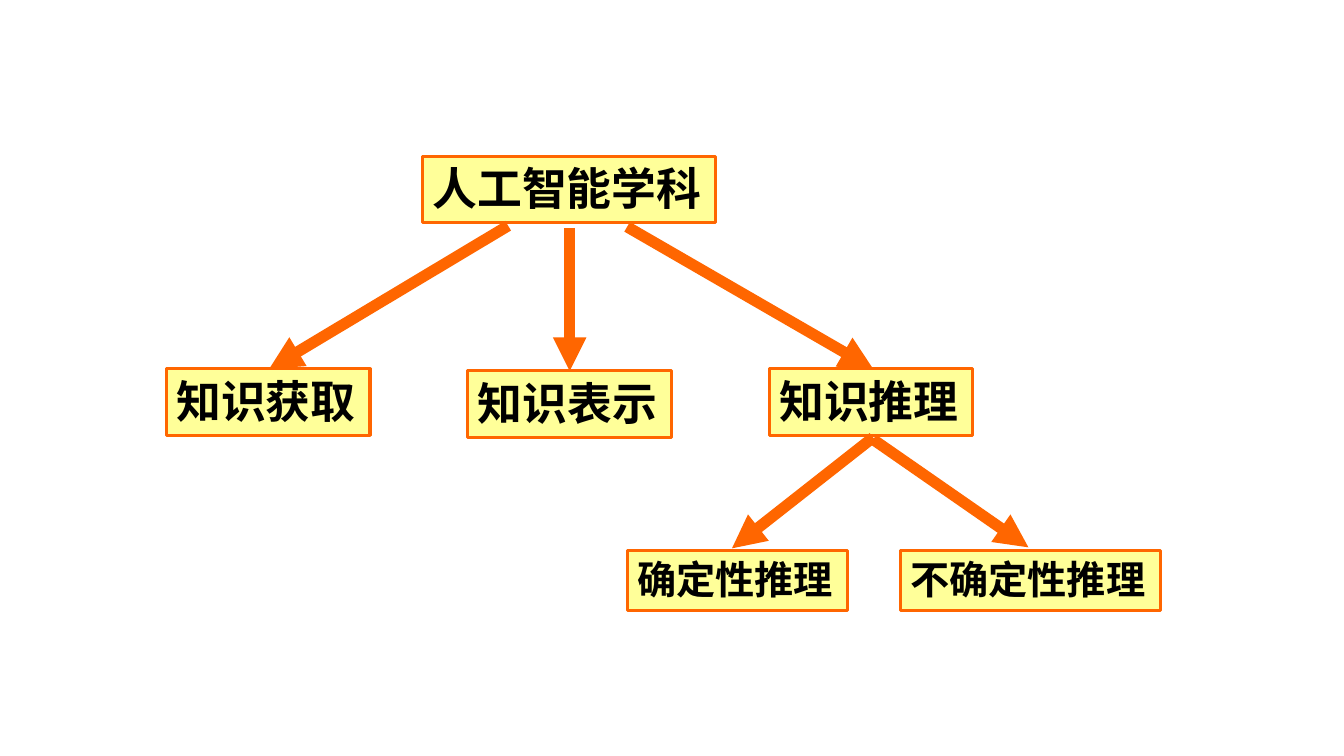
from lxml import etree
from pptx import Presentation
from pptx import util as u
from pptx.dml.color import RGBColor
from pptx.enum import shapes, text
from pptx.oxml.ns import qn

PX = 9144  # 100 px to the inch
ORANGE = RGBColor(0xFF, 0x66, 0x00)
YELLOW = RGBColor(0xFF, 0xFF, 0x99)
BLACK = RGBColor(0, 0, 0)

presentation = Presentation()
presentation.slide_width = 1333 * PX
presentation.slide_height = 750 * PX
slide = presentation.slides.add_slide(presentation.slide_layouts[6])

# Topic boxes: label, left, top, width, height, font size
topics = [
    ("人工智能学科", 419, 155, 291, 66, 32),
    ("知识获取", 165, 366, 202, 66, 32),
    ("知识表示", 464, 368, 202, 66, 32),
    ("知识推理", 763, 366, 202, 66, 32),
    ("确定性推理", 622, 546, 219, 60, 28),
    ("不确定性推理", 893, 546, 258, 60, 28),
]
for label, left, top, width, height, size in topics:
    box = slide.shapes.add_textbox(left * PX, top * PX, width * PX, height * PX)
    box.fill.solid()
    box.fill.fore_color.rgb = YELLOW
    box.line.color.rgb = ORANGE
    box.line.width = u.Pt(2.25)
    text_frame = box.text_frame
    text_frame.text = label
    text_frame.word_wrap = False
    text_frame.auto_size = text.MSO_AUTO_SIZE.SHAPE_TO_FIT_TEXT
    font = text_frame.paragraphs[0].runs[0].font
    font.name = "Arial"
    font.size = u.Pt(size)
    font.bold = True
    font.color.rgb = BLACK

# Arrows from each topic to its branches: start x, y, end x, y
arrows = [
    (504, 224, 267, 366),
    (565, 226, 565, 368),
    (622, 225, 866, 366),
    (866, 434, 726, 544),
    (866, 436, 1020, 543),
]
for points in arrows:
    arrow = slide.shapes.add_connector(
        shapes.MSO_CONNECTOR.STRAIGHT, *(point * PX for point in points))
    arrow.line.color.rgb = ORANGE
    arrow.line.width = u.Pt(8)
    etree.SubElement(arrow.line._get_or_add_ln(), qn("a:tailEnd"), type="triangle")
    etree.SubElement(arrow._element.spPr, qn("a:effectLst"))

presentation.save("out.pptx")
